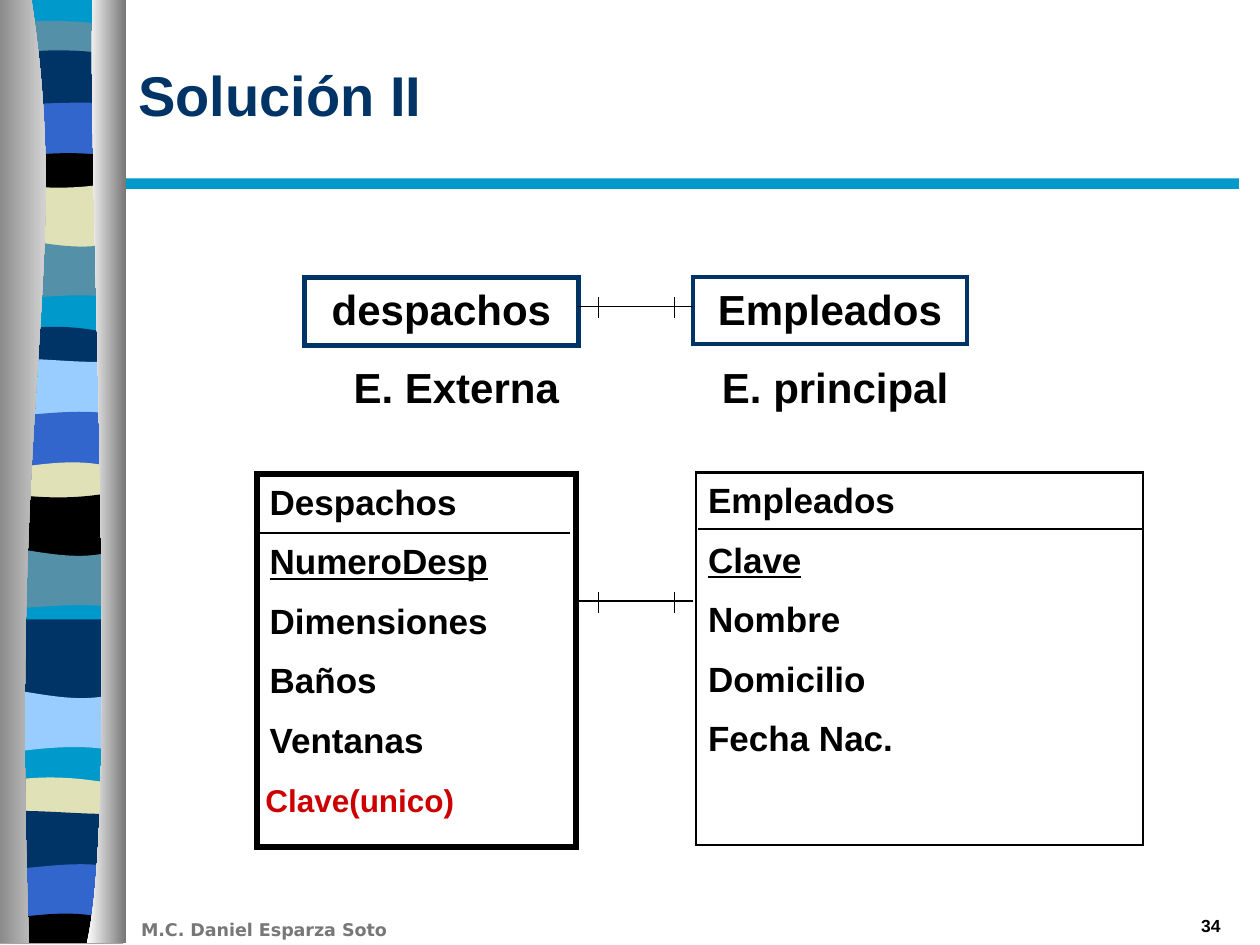
"""Build the "Solución II" slide: two entities, their attributes and their link."""
from lxml import etree
from pptx import Presentation
from pptx import util as u
from pptx.dml.color import RGBColor
from pptx.enum import shapes, text
from pptx.oxml.ns import qn

Pt = u.Pt
BLACK = RGBColor(0x00, 0x00, 0x00)
WHITE = RGBColor(0xFF, 0xFF, 0xFF)
NAVY = RGBColor(0x00, 0x33, 0x66)
CYAN = RGBColor(0x00, 0x99, 0xCC)
TEAL = RGBColor(0x54, 0x90, 0xA8)
SAND = RGBColor(0xE1, 0xE1, 0xB7)
BLUE = RGBColor(0x33, 0x66, 0xCC)
SKY = RGBColor(0x99, 0xCC, 0xFF)
RED = RGBColor(0xCC, 0x00, 0x00)
GREY = RGBColor(0x77, 0x77, 0x77)

deck = Presentation()
deck.slide_width, deck.slide_height = Pt(720), Pt(540)
slide = deck.slides.add_slide(deck.slide_layouts[6])
canvas = slide.shapes


def add_outline(*edges):
    """Add a closed outline; an edge of four points is a cubic curve."""
    points = [(Pt(x), Pt(y)) for edge in edges for x, y in edge]
    builder = canvas.build_freeform(*points[0])
    builder.add_line_segments(points[1:], close=True)
    outline = builder.convert_to_shape()
    outline.shadow.inherit = False
    outline.line.fill.background()
    segments = list(next(outline._element.iter(qn("a:moveTo"))).getparent())
    start = 0
    for edge in edges:
        if len(edge) == 4:
            first, *others = segments[start + 1:start + 4]
            curve = etree.Element(qn("a:cubicBezTo"))
            first.addprevious(curve)
            for segment in (first, *others):
                curve.append(segment[0])
                segment.getparent().remove(segment)
        start += len(edge)
    return outline


def write(shape, lines, size, color=BLACK, font="Arial", align=text.PP_ALIGN.LEFT,
          anchor=text.MSO_ANCHOR.TOP, underlined=None, tab=None):
    """Fill a shape with bold paragraphs."""
    frame = shape.text_frame
    frame.word_wrap, frame.vertical_anchor = True, anchor
    for index, line in enumerate(lines):
        paragraph = frame.add_paragraph() if index else frame.paragraphs[0]
        paragraph.alignment = align
        if index:
            paragraph.space_before = Pt(10)
        if tab:
            stops = etree.SubElement(paragraph._p.get_or_add_pPr(), qn("a:tabLst"))
            etree.SubElement(stops, qn("a:tab"), pos=str(Pt(tab)), algn="l")
        run = paragraph.add_run()
        run.text = line
        run.font.color.rgb = color
        style = {"size": Pt(size), "name": font, "bold": True,
                 "underline": line == underlined}
        for key, value in style.items():
            setattr(run.font, key, value)


LEFT, RIGHT, BOTTOM = -3.5, 70.5, 539
bands = [
    (TEAL, (15, 10, 12, 15)),
    (NAVY, (33, 27, 28, 32)),
    (BLUE, (60, 60, 57, 60)),
    (BLACK, (91, 88, 85, 91)),
    (SAND, (104, 108, 109, 103)),
    (TEAL, (135, 137, 146, 137)),
    (CYAN, (171, 171, 166, 171)),
    (NAVY, (192, 184, 186, 192)),
    (SKY, (206, 203, 209, 206)),
    (BLUE, (238, 238, 232, 238)),
    (SAND, (269, 266, 260, 269)),
    (BLACK, (281, 285, 286, 280)),
    (TEAL, (312, 314, 323, 313)),
    (CYAN, (348, 348, 343, 348)),
    (NAVY, (354, 354, 354, 354)),
    (SKY, (393, 395, 404, 395)),
    (CYAN, (431, 428, 424, 430)),
    (SAND, (448, 442, 444, 449)),
    (NAVY, (464, 462, 466, 465)),
    (BLUE, (497, 497, 490, 497)),
    (BLACK, (526, 523, 518, 528)),
    (CYAN, (BOTTOM,) * 4),
]
backdrop = add_outline([(LEFT, 0), (RIGHT, 0)], [(RIGHT, BOTTOM), (LEFT, BOTTOM)])
backdrop.fill.solid()
backdrop.fill.fore_color.rgb = CYAN
xs = [LEFT + (RIGHT - LEFT) * i / 3 for i in range(4)]
for (color, crest), (next_color, next_crest) in zip(bands, bands[1:]):
    if color == CYAN:
        continue
    overlap = 0 if next_color == CYAN else 4
    floor = [(x, y + overlap) for x, y in zip(xs, next_crest)]
    band = add_outline(list(zip(xs, crest)), floor[::-1])
    band.fill.solid()
    band.fill.fore_color.rgb = color

columns = [
    ([(18, 0), (41.5, 155.5), (5, 213), (16.5, 539)], [(-7, 539), (-7, 0)], (GREY, WHITE)),
    ([(53, 0), (49.5, 90), (69, 465), (49.5, 539)], [(72, 539), (72, 0)], (WHITE, GREY)),
]
for curve, side, shades in columns:
    column = add_outline(curve, side)
    column.fill.gradient()
    column.fill.gradient_angle = 0
    for stop, shade in zip(column.fill.gradient_stops, shades):
        stop.color.rgb = shade

title_rule = canvas.add_shape(shapes.MSO_SHAPE.RECTANGLE, Pt(72), Pt(102), Pt(636), Pt(6))
title_rule.shadow.inherit = False
title_rule.fill.solid()
title_rule.fill.fore_color.rgb = CYAN
title_rule.line.fill.background()

center = text.PP_ALIGN.CENTER
entities = [
    ((147, 271, 182, 213), BLACK, 3.25,
     ["Despachos", "NumeroDesp", "Dimensiones", "Baños", "Ventanas"],
     {"size": 20, "underlined": "NumeroDesp"}),
    ((397.5, 270, 255.5, 213), BLACK, 1.25,
     ["Empleados", "Clave", "Nombre", "Domicilio", "Fecha Nac."],
     {"size": 20, "underlined": "Clave"}),
    ((396, 158.5, 156.5, 38), NAVY, 2.25, ["Empleados"], {"size": 24, "align": center}),
    ((174, 158.5, 156.5, 39), NAVY, 3, ["despachos"], {"size": 24, "align": center}),
]
for bounds, color, weight, lines, style in entities:
    entity = canvas.add_shape(shapes.MSO_SHAPE.RECTANGLE, *map(Pt, bounds))
    entity.shadow.inherit = False
    entity.fill.background()
    entity.line.color.rgb = color
    entity.line.width = Pt(weight)
    etree.SubElement(entity._element.spPr.find(qn("a:ln")), qn("a:miter"), lim="800000")
    write(entity, lines, **style)

strokes = [(145, 304.5, 326, 304.5, 0.75), (399, 302.5, 653.5, 302.5, 1.25)]
for link_y in (175, 343.5):
    strokes.append((396, link_y, 330, link_y, 0.75))
    strokes += [(x, link_y - 5, x, link_y + 7, 0.75) for x in (342, 385.5)]
for *ends, weight in strokes:
    stroke = canvas.add_connector(shapes.MSO_CONNECTOR.STRAIGHT, *map(Pt, ends))
    stroke.line.color.rgb = BLACK
    stroke.line.width = Pt(weight)
    etree.SubElement(stroke._element.spPr, qn("a:effectLst"))

labels = [
    ((72, 9, 632, 90), "Solución II",
     {"size": 32, "color": NAVY, "anchor": text.MSO_ANCHOR.MIDDLE}),
    ((195, 203, 396, 36), "E. Externa\tE. principal", {"size": 24, "tab": 210.5}),
    ((144.5, 443, 253, 29), "Clave(unico)", {"size": 18, "color": RED}),
    ((73.5, 521.5, 204, 19), "M.C. Daniel Esparza Soto",
     {"size": 10, "color": GREY, "font": "DejaVu Sans"}),
    ((554.5, 519.5, 150, 19), "34", {"size": 10, "align": text.PP_ALIGN.RIGHT}),
]
for bounds, wording, style in labels:
    write(canvas.add_textbox(*map(Pt, bounds)), [wording], **style)

deck.save("out.pptx")
